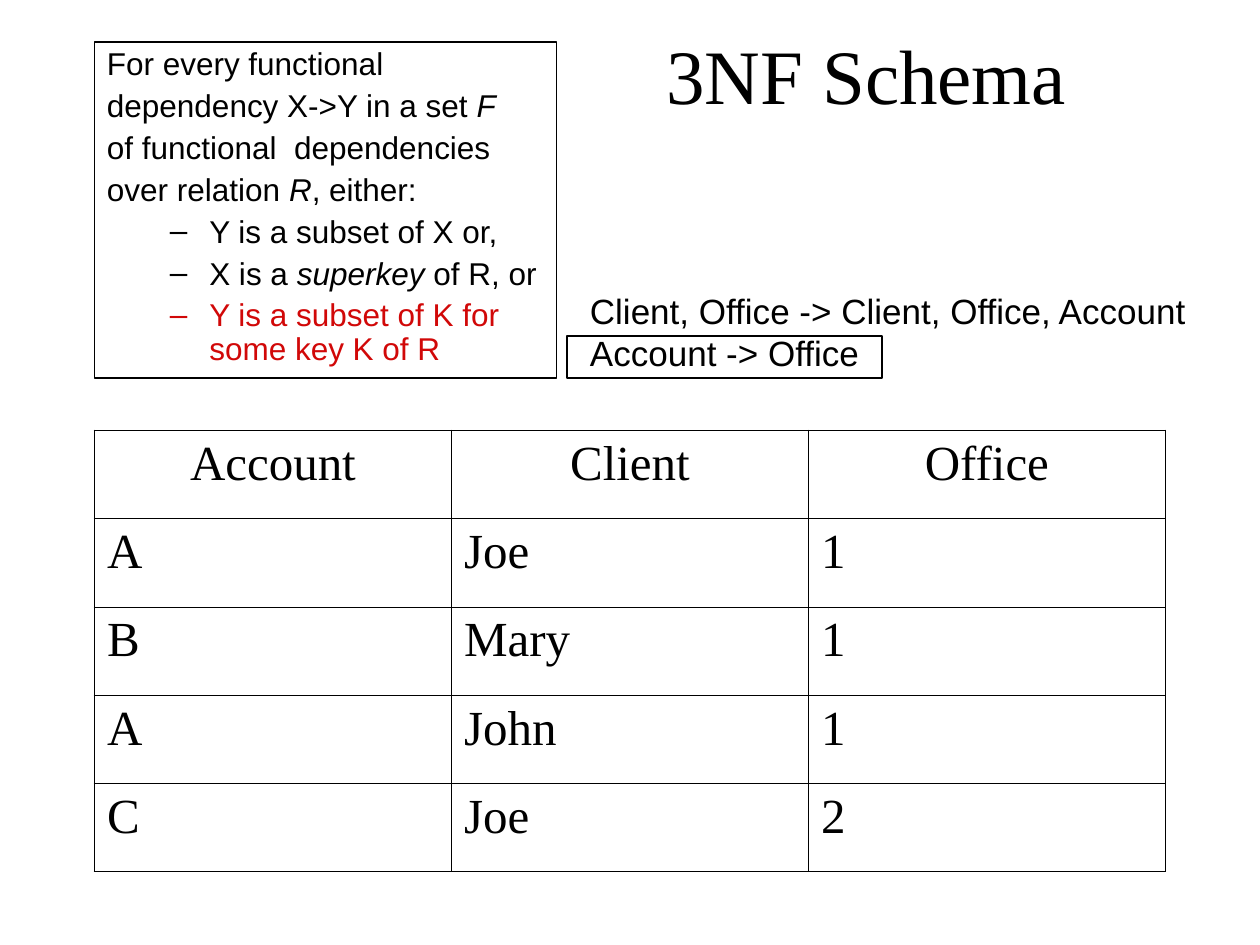
from lxml.etree import SubElement
from pptx import Presentation
from pptx.dml.color import RGBColor
from pptx.enum.shapes import MSO_SHAPE
from pptx.enum.text import MSO_ANCHOR, PP_ALIGN
from pptx.oxml.ns import qn
from pptx.util import Pt

BLACK = "000000"
RED = "D10808"
SERIF = "Times New Roman"
SANS = "Arial"
INTRO = ["For every functional", "dependency X->Y in a set *F*",
         "of functional  dependencies", "over relation *R*, either:"]
CONDITIONS = [("Y is a subset of X or,", BLACK), ("X is a *superkey* of R, or", BLACK),
              ("Y is a subset of K for some key K of R", RED)]
DEPENDENCIES = ["Client, Office -> Client, Office, Account", "Account -> Office"]
RECORDS = [("Account", "Client", "Office"), ("A", "Joe", "1"), ("B", "Mary", "1"),
           ("A", "John", "1"), ("C", "Joe", "2")]


def color(value):
    """Turn a hex string into a colour."""
    return RGBColor.from_string(value)


def write(frame, text, size, font, fill=BLACK, align=PP_ALIGN.LEFT, before=0,
          spacing=1.0, margin=0, indent=0, bullet=None):
    """Add a paragraph to a frame, with words between asterisks in italics."""
    para = frame.paragraphs[0]
    if para.runs:
        para = frame.add_paragraph()
    para.alignment = align
    para.space_before = Pt(before)
    para.line_spacing = spacing
    properties = para._p.get_or_add_pPr()
    properties.set("marL", str(Pt(margin)))
    properties.set("indent", str(Pt(indent)))
    if bullet:
        shade = SubElement(properties, qn("a:buClr"))
        SubElement(shade, qn("a:srgbClr"), val=fill)
        SubElement(properties, qn("a:buFont"), typeface=font)
        SubElement(properties, qn("a:buChar"), char=bullet)
    for index, part in enumerate(text.split("*")):
        if part:
            span = para.add_run()
            span.text = part
            span.font.size = Pt(size)
            span.font.name = font
            span.font.italic = index % 2 == 1
            span.font.color.rgb = color(fill)


def add_outline(page, left, top, width, height):
    """Draw an unfilled rectangle with a thin black line."""
    box = page.shapes.add_shape(MSO_SHAPE.RECTANGLE, Pt(left), Pt(top), Pt(width), Pt(height))
    box.shadow.inherit = False
    box.fill.background()
    box.line.color.rgb = color(BLACK)
    box.line.width = Pt(0.75)
    return box


def add_title(page, left, top, width, height):
    """Place the centred slide title."""
    box = page.shapes.add_textbox(Pt(left), Pt(top), Pt(width), Pt(height))
    frame = box.text_frame
    frame.word_wrap = True
    frame.vertical_anchor = MSO_ANCHOR.MIDDLE
    write(frame, "3NF Schema", 44, SERIF, align=PP_ALIGN.CENTER)


def add_definition(page, left, top, width, height):
    """Place the framed definition of third normal form."""
    frame = add_outline(page, left, top, width, height).text_frame
    frame.word_wrap = True
    frame.vertical_anchor = MSO_ANCHOR.TOP
    for text in INTRO:
        write(frame, text, 18, SANS, before=4.5, spacing=0.9, margin=27, indent=-27)
    for text, fill in CONDITIONS:
        write(frame, text, 18, SANS, fill=fill, before=4.5, spacing=0.9,
              margin=58.5, indent=-22.5, bullet="–")


def add_dependencies(page, left, top, width, height):
    """List the dependencies and frame the last one."""
    box = page.shapes.add_textbox(Pt(left + 6), Pt(top), Pt(width - 6), Pt(height))
    box.text_frame.word_wrap = False
    for text in DEPENDENCIES:
        write(box.text_frame, text, 20, SANS)
    add_outline(page, left, top + 30, 180, 24)


def add_borders(cell, widths):
    """Give a cell black borders, with widths keyed by side."""
    properties = cell._tc.get_or_add_tcPr()
    for index, (side, width) in enumerate(widths.items()):
        line = properties.makeelement(qn(f"a:ln{side}"), {"w": str(Pt(width))})
        fill = SubElement(line, qn("a:solidFill"))
        SubElement(fill, qn("a:srgbClr"), val=BLACK)
        properties.insert(index, line)


def add_records(page, left, top, width, height):
    """Place the table of records, with a heavier outer border."""
    last_row, last_column = len(RECORDS) - 1, len(RECORDS[0]) - 1
    table = page.shapes.add_table(last_row + 1, last_column + 1, Pt(left), Pt(top),
                                  Pt(width), Pt(height)).table
    for row, record in enumerate(RECORDS):
        for column, text in enumerate(record):
            cell = table.cell(row, column)
            cell.fill.background()
            write(cell.text_frame, text, 28, SERIF, before=7,
                  align=PP_ALIGN.LEFT if row else PP_ALIGN.CENTER)
            outer = {"L": column == 0, "R": column == last_column,
                     "T": row == 0, "B": row == last_row}
            add_borders(cell, {side: 1.08 if edge else 0.45 for side, edge in outer.items()})


def main():
    """Build the slide and save it."""
    deck = Presentation()
    deck.slide_width, deck.slide_height = Pt(720), Pt(540)
    page = deck.slides.add_slide(deck.slide_layouts[6])
    add_title(page, 282, 12, 426, 60)
    add_records(page, 54, 246, 612, 252)
    add_definition(page, 54, 24, 264, 192)
    add_dependencies(page, 324, 162, 362, 55.5)
    deck.save("out.pptx")


if __name__ == "__main__":
    main()
